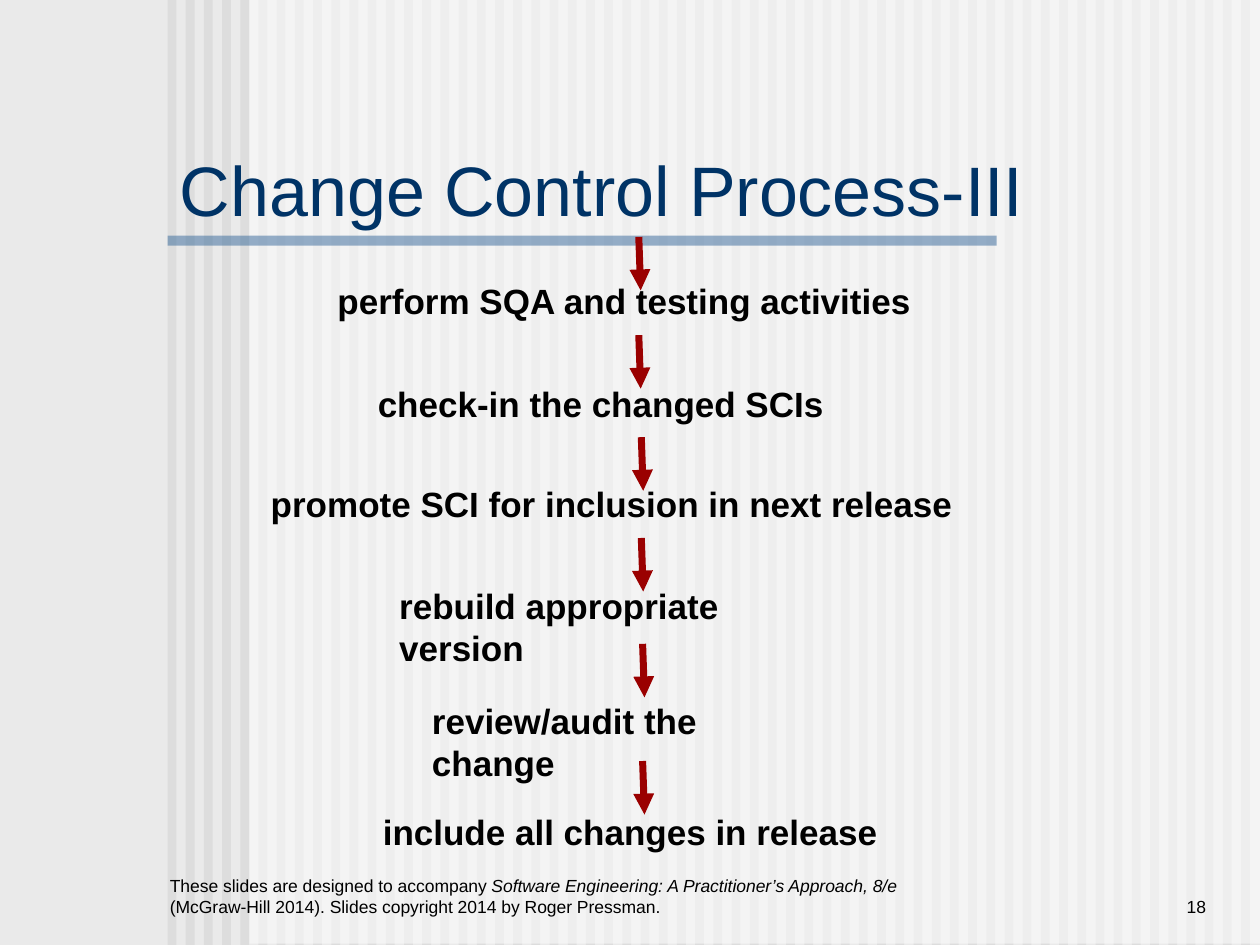
from lxml import etree
from pptx import Presentation
from pptx.dml.color import RGBColor
from pptx.enum.shapes import MSO_CONNECTOR, MSO_SHAPE
from pptx.enum.text import MSO_ANCHOR, MSO_AUTO_SIZE, PP_ALIGN
from pptx.oxml.ns import qn
from pptx.util import Inches, Pt

RECT, LINE = MSO_SHAPE.RECTANGLE, MSO_CONNECTOR.STRAIGHT
TOP, MIDDLE, BOTTOM = MSO_ANCHOR.TOP, MSO_ANCHOR.MIDDLE, MSO_ANCHOR.BOTTOM
LEFT, RIGHT = PP_ALIGN.LEFT, PP_ALIGN.RIGHT
GROW, FIXED = MSO_AUTO_SIZE.SHAPE_TO_FIT_TEXT, MSO_AUTO_SIZE.NONE

# Content
TITLE = "Change Control Process-III"
STEPS = [  # text, left, top, width
    ("perform SQA and testing activities", 2.58, 2.17, 4.76),
    ("check-in the changed SCIs", 2.9, 2.99, 3.74),
    ("promote SCI for inclusion in next release", 2.05, 3.78, 5.61),
    ("rebuild appropriate version", 3.07, 4.59, 3.8),
    ("review/audit the change", 3.33, 5.5, 3.35),
    ("include all changes in release", 2.94, 6.38, 4.13),
]
ARROWS = [(5.07, 1.88), (5.07, 2.66), (5.09, 3.47),
          (5.09, 4.27), (5.1, 5.11), (5.1, 6.04)]
CREDIT = [  # text, italic
    ("These slides are designed to accompany ", False),
    ("Software Engineering: A Practitioner’s Approach, 8/e ", True),
    ("(McGraw-Hill 2014). Slides copyright 2014 by Roger Pressman.", False),
]
PAGE = "18"

COLORS = {"back": "EAEAEA", "stripe": "DDDDDD", "panel": "FFFFFF",
          "rule": "336699", "title": "003366", "text": "000000",
          "arrow": "9A0000"}
FIRST, LAST, COUNT = 1.33, 9.85, 60  # stripes
STEP = (LAST - FIRST) / (COUNT - 1)

deck = Presentation()
deck.slide_width, deck.slide_height = Inches(10), Inches(7.5)
slide = deck.slides.add_slide(deck.slide_layouts[6])
shapes = slide.shapes


def color(name):
    return RGBColor.from_string(COLORS[name])


def add_bar(left, top, width, height, name, alpha=None):
    bar = shapes.add_shape(RECT, *map(Inches, (left, top, width, height)))
    bar.shadow.inherit = False
    bar.fill.solid()
    bar.fill.fore_color.rgb = color(name)
    bar.line.fill.background()
    if alpha:
        tint = bar.fill._xPr.find(".//" + qn("a:srgbClr"))
        etree.SubElement(tint, qn("a:alpha"), val=str(alpha * 1000))


def add_text(runs, left, top, width, height, size=10, bold=False,
             name="text", align=LEFT, anchor=TOP, wrap=True, fit=FIXED):
    box = shapes.add_textbox(*map(Inches, (left, top, width, height)))
    frame = box.text_frame
    frame.word_wrap = wrap
    frame.auto_size = fit
    frame.vertical_anchor = anchor
    para = frame.paragraphs[0]
    para.alignment = align
    for text, italic in runs:
        run = para.add_run()
        run.text = text
        font = run.font
        font.name, font.size = "Arial", Pt(size)
        font.bold, font.italic = bold, italic
        font.color.rgb = color(name)


def add_arrow(left, top):
    ends = (left, top, left + 0.015, top + 0.425)
    arrow = shapes.add_connector(LINE, *map(Inches, ends))
    arrow.line.color.rgb = color("arrow")
    arrow.line.width = Pt(4)
    etree.SubElement(arrow.line._get_or_add_ln(), qn("a:tailEnd"),
                     type="triangle")
    etree.SubElement(arrow._element.spPr, qn("a:effectLst"))


# Background: stripes, pale panel, title rule
slide.background.fill.solid()
slide.background.fill.fore_color.rgb = color("back")
for i in range(COUNT):
    add_bar(FIRST + i * STEP, 0, 0.07, 7.5, "stripe")
add_bar(1.98, -0.01, 8.02, 7.5, "panel", alpha=50)
add_bar(1.33, 1.87, 6.58, 0.08, "rule", alpha=50)

# Footer and title
add_text([(PAGE, False)], 8.25, 6.83, 1.42, 0.5, align=RIGHT, anchor=BOTTOM)
add_text(CREDIT, 1.25, 6.83, 6, 0.5, anchor=BOTTOM)
add_text([(TITLE, False)], 1.33, 1.17, 7.08, 0.65, size=40, name="title",
         anchor=MIDDLE)

# Process steps, each with an arrow leading in
for (text, left, top, width), start in zip(STEPS, ARROWS):
    add_arrow(*start)
    add_text([(text, False)], left, top, width, 0.43, size=20, bold=True,
             wrap=False, fit=GROW)

deck.save("out.pptx")
